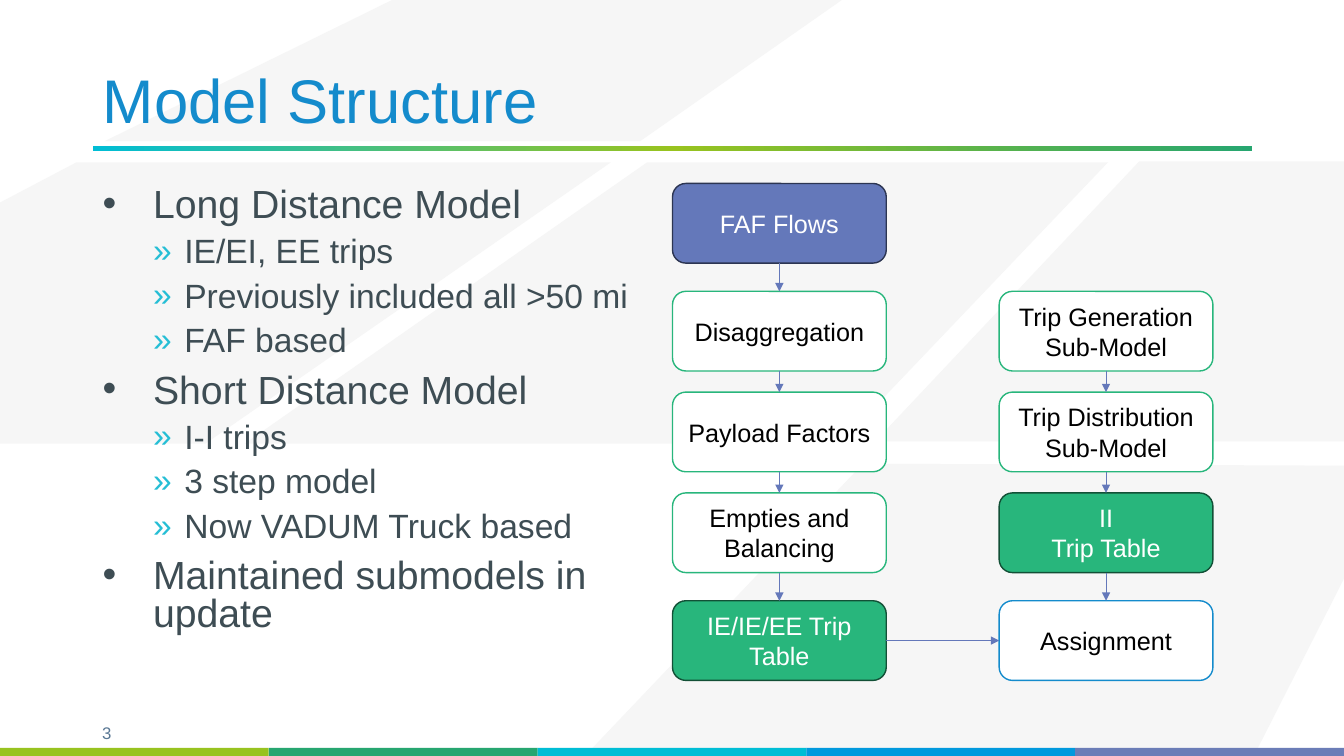
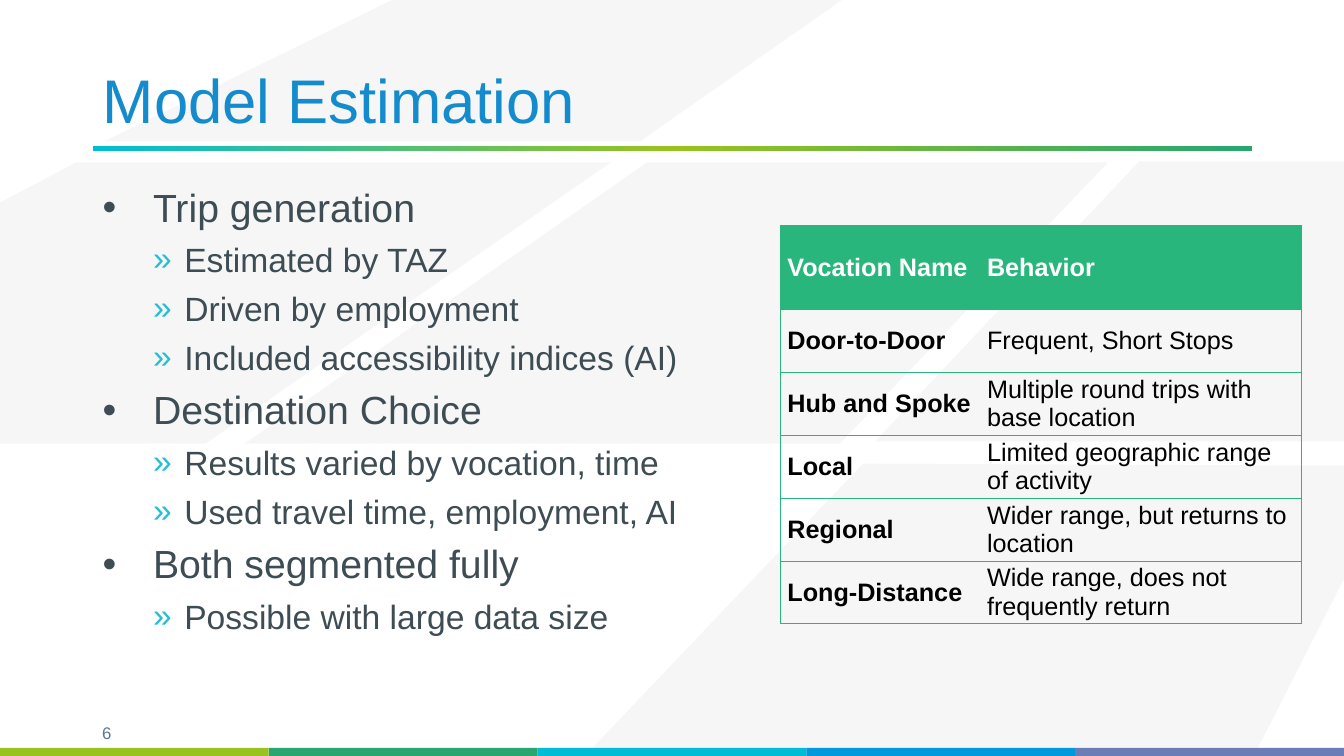
from copy import deepcopy
from itertools import pairwise

from lxml.etree import SubElement
from pptx import Presentation
from pptx.dml.color import RGBColor
from pptx.enum.shapes import MSO_CONNECTOR as Link, MSO_SHAPE as Shape
from pptx.enum.text import MSO_ANCHOR as Anchor, MSO_AUTO_SIZE as Fit, PP_ALIGN as Align
from pptx.oxml.ns import qn
from pptx.util import Inches, Pt

HEX = {
    "white": "FFFFFF", "black": "000000", "pale": "F6F6F6", "text": "3E4D54",
    "title": "148BCC", "number": "597794", "bullet": "25BED5",
    "lime": "98C31F", "leaf": "27A670", "cyan": "00BDD5", "sky": "0199DD", "iris": "6B7DB7",
    "green": "28B67C", "forest": "125036", "indigo": "6478BA", "navy": "2C3552",
}
RGB = {name: RGBColor.from_string(code) for name, code in HEX.items()}
WIDE, HIGH = 13.33, 7.5
LEFT, SPAN = 0.92, 11.5


def write(frame, text, size, color, align=Align.LEFT, bold=False):
    """Fill a text frame, one paragraph a line, in one style."""
    frame.word_wrap = True
    frame.text = text
    for para in frame.paragraphs:
        para.alignment = align
        font = para.font
        font.name, font.size, font.bold = "Arial", Pt(size), bold
        font.color.rgb = RGB[color]


def fill_slide(slide, title, number, points, width, tight):
    """Add title, slide number and bullets; tight is the line spacing of each level."""
    write(slide.shapes.title.text_frame, title, 44, "title")
    slide.shapes.title.text_frame.paragraphs[0].line_spacing = 0.9
    box = slide.shapes.add_textbox(Inches(0.74), Inches(7.12), Inches(0.64), Inches(0.3))
    write(box.text_frame, number, 12, "number", Align.CENTER)

    body = slide.shapes.add_textbox(Inches(LEFT), Inches(1.82), Inches(width), Inches(4.93))
    frame = body.text_frame
    frame.word_wrap = True
    lines = [(level, line) for head, subs in points
             for level, line in [(0, head)] + [(1, sub) for sub in subs]]
    for i, (level, line) in enumerate(lines):
        para = frame.add_paragraph() if i else frame.paragraphs[0]
        para.text, para.level = line, level
        props = para._p.get_or_add_pPr()
        indent, hang = [(0.5, 0.5), (0.81, 0.31)][level]
        props.set("marL", str(Inches(indent)))
        props.set("indent", str(-Inches(hang)))
        tint = SubElement(props, qn("a:buClr"))
        SubElement(tint, qn("a:srgbClr"), val=HEX[["text", "bullet"][level]])
        SubElement(props, qn("a:buFont"), typeface="Arial")
        SubElement(props, qn("a:buChar"), char="•»"[level])
        para.line_spacing = tight[level]
        para.space_before = Pt([10, 6][level] if i else 0)
        para.font.name, para.font.size = "Arial", Pt([28, 24][level])
        para.font.color.rgb = RGB["text"]


deck = Presentation()
deck.slide_width, deck.slide_height = Inches(WIDE), Inches(HIGH)
layout = deck.slide_layouts[5]

# Layout: title place, pale panels, rule and bottom bands
for holder in list(layout.placeholders):
    if holder.placeholder_format.idx:
        holder.element.getparent().remove(holder.element)
    else:
        holder.left, holder.top = Inches(LEFT), Inches(0.11)
        holder.width, holder.height = Inches(SPAN), Inches(1.3)
        holder.text_frame.vertical_anchor = Anchor.BOTTOM
        holder.text_frame.auto_size = Fit.NONE

flow = deck.slides.add_slide(layout)
art = flow.shapes
panels = [
    [(3.89, 0), (8.35, 0), (6.35, 1.4), (1.04, 1.4)],
    [(5.81, 7.49), (12.44, 7.49), (WIDE, 5.74), (WIDE, 4.62), (8.56, 4.6)],
    [(6.06, 1.61), (2.04, 4.4), (0, 4.4), (0, 2.01), (0.76, 1.61)],
    [(8.68, 4.38), (WIDE, 4.38), (WIDE, 1.6), (11.3, 1.6)],
    [(6.42, 1.61), (10.99, 1.61), (8.33, 4.4), (2.43, 4.4)],
]
for corners in panels:
    first, *rest = [(Inches(x), Inches(y)) for x, y in corners]
    pen = art.build_freeform(*first)
    pen.add_line_segments(rest, close=True)
    panel = pen.convert_to_shape()
    panel.fill.solid()
    panel.fill.fore_color.rgb = RGB["pale"]

rule = art.add_shape(Shape.RECTANGLE, Inches(LEFT), Inches(1.45), Inches(SPAN), Inches(0.05))
rule.fill.gradient()
rule.fill.gradient_angle = 0
stops = rule.element.spPr.find(".//" + qn("a:gsLst"))
stops.append(deepcopy(stops[0]))
for stop, spot, color in zip(rule.fill.gradient_stops, (0, 0.5, 1), ("cyan", "lime", "leaf")):
    stop.position = spot
    stop.color.rgb = RGB[color]

bands = ["lime", "leaf", "cyan", "sky", "iris"]
step = WIDE / len(bands)
for i, color in enumerate(bands):
    band = art.add_shape(Shape.RECTANGLE, Inches(i * step), Inches(7.42), Inches(step), Inches(0.08))
    band.fill.solid()
    band.fill.fore_color.rgb = RGB[color]

for shape in list(art):
    if not shape.is_placeholder:
        shape.line.fill.background()
        shape.shadow.inherit = False
        layout.shapes.element.append(shape.element)

# Model Structure
fill_slide(flow, "Model Structure", "3", [
    ("Long Distance Model", ["IE/EI, EE trips", "Previously included all >50 mi", "FAF based"]),
    ("Short Distance Model", ["I-I trips", "3 step model", "Now VADUM Truck based"]),
    ("Maintained submodels in update", []),
], 5.64, (0.8, 0.9))

looks = {  # fill, line, text
    "input": ("indigo", "navy", "white"),
    "step": ("white", "green", "black"),
    "result": ("green", "forest", "white"),
    "end": ("white", "title", "black"),
}
tops = [1.82, 2.89, 3.89, 4.89, 5.96]
chains = [
    (6.67, tops, [("FAF Flows", "input"), ("Disaggregation", "step"), ("Payload Factors", "step"),
                  ("Empties and Balancing", "step"), ("IE/IE/EE Trip Table", "result")]),
    (9.91, tops[1:], [("Trip Generation\nSub-Model", "step"), ("Trip Distribution\nSub-Model", "step"),
                      ("II\nTrip Table", "result"), ("Assignment", "end")]),
]
links, ends = [], []
for left, rows, steps in chains:
    boxes = []
    for top, (text, look) in zip(rows, steps):
        fill, edge, ink = looks[look]
        box = art.add_shape(Shape.ROUNDED_RECTANGLE, Inches(left), Inches(top), Inches(2.12), Inches(0.79))
        box.shadow.inherit = False
        box.fill.solid()
        box.fill.fore_color.rgb = RGB[fill]
        box.line.color.rgb, box.line.width = RGB[edge], Pt(1)
        box.text_frame.vertical_anchor = Anchor.MIDDLE
        write(box.text_frame, text, 18, ink, Align.CENTER)
        boxes.append(box)
    links += [(a, 2, b, 0) for a, b in pairwise(boxes)]
    ends.append(boxes[-1])
links.append((ends[0], 3, ends[1], 1))

for source, start, target, stop in links:
    arrow = art.add_connector(Link.STRAIGHT, 0, 0, 0, 0)
    arrow.begin_connect(source, start)
    arrow.end_connect(target, stop)
    arrow.line.color.rgb, arrow.line.width = RGB["indigo"], Pt(0.5)
    SubElement(arrow.line._get_or_add_ln(), qn("a:tailEnd"), type="triangle")
    SubElement(arrow.element.spPr, qn("a:effectLst"))

# Model Estimation
study = deck.slides.add_slide(layout)
fill_slide(study, "Model Estimation", "6", [
    ("Trip generation", ["Estimated by TAZ", "Driven by employment", "Included accessibility indices (AI)"]),
    ("Destination Choice", ["Results varied by vocation, time", "Used travel time, employment, AI"]),
    ("Both segmented fully", ["Possible with large data size"]),
], 6.54, (0.9, 1.0))

data = [
    ("Vocation Name", "Behavior"),
    ("Door-to-Door", "Frequent, Short Stops"),
    ("Hub and Spoke", "Multiple round trips with base location"),
    ("Local", "Limited geographic range of activity"),
    ("Regional", "Wider range, but returns to location"),
    ("Long-Distance", "Wide range, does not frequently return"),
]
table = study.shapes.add_table(len(data), 2, Inches(7.74), Inches(2.24), Inches(5.17), Inches(3.95)).table
for column, width in zip(table.columns, (1.98, 3.19)):
    column.width = Inches(width)
for r, record in enumerate(data):
    table.rows[r].height = Inches((3.95 - 0.83) / 5 if r else 0.83)
    for c, text in enumerate(record):
        cell = table.cell(r, c)
        cell.vertical_anchor = Anchor.MIDDLE
        cell.margin_left = cell.margin_right = Inches(0.07)
        cell.margin_top = cell.margin_bottom = 0
        props = cell._tc.get_or_add_tcPr()
        for side in "LRTB":
            edge = SubElement(props, qn("a:ln" + side), w=str(Pt(0.5)))
            if side == "RL"[c]:
                SubElement(edge, qn("a:noFill"))
            else:
                paint = SubElement(edge, qn("a:solidFill"))
                SubElement(paint, qn("a:srgbClr"), val=HEX["green"])
        if r:
            cell.fill.background()
        else:
            cell.fill.solid()
            cell.fill.fore_color.rgb = RGB["green"]
        write(cell.text_frame, text, 18, "black" if r else "white", bold=r == 0 or c == 0)

deck.save("out.pptx")
